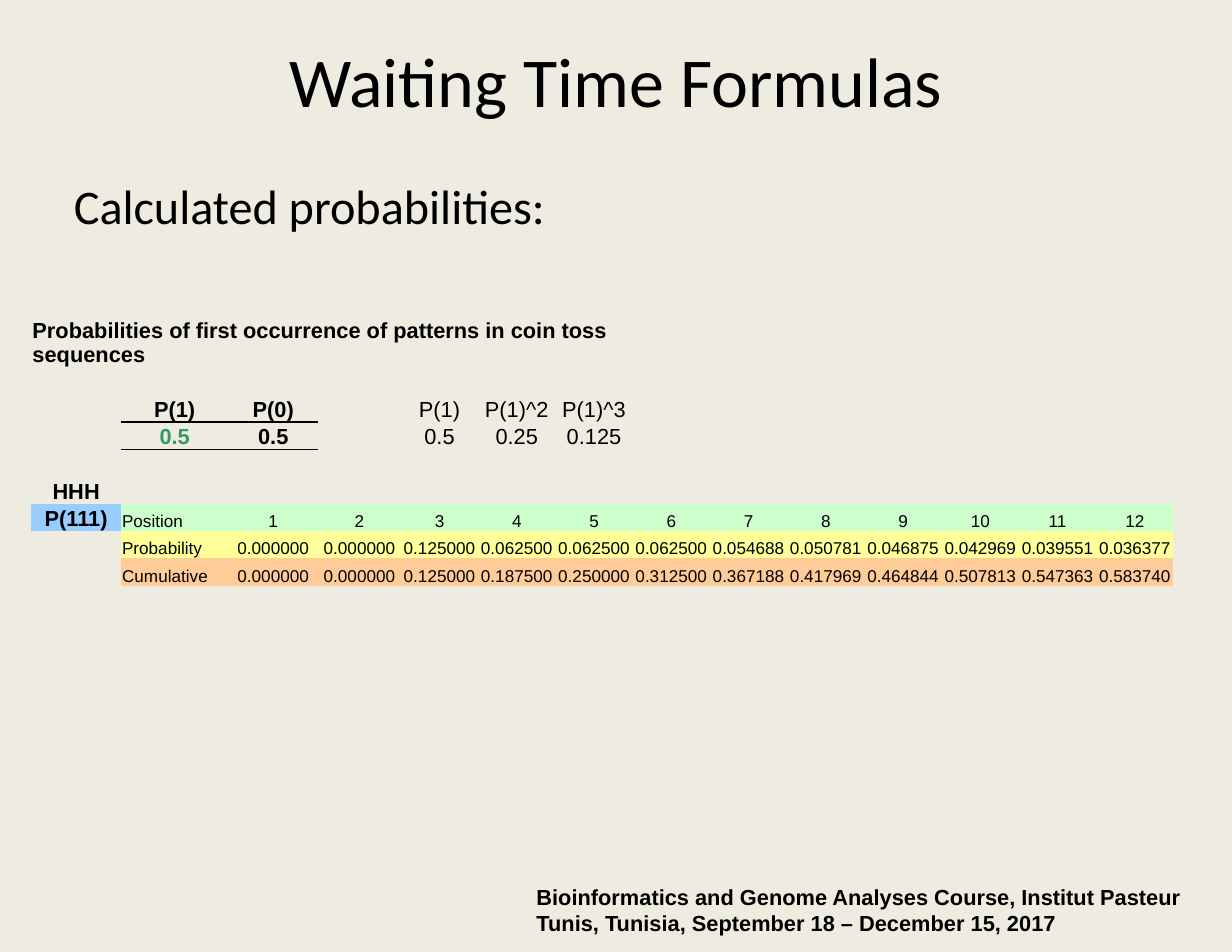
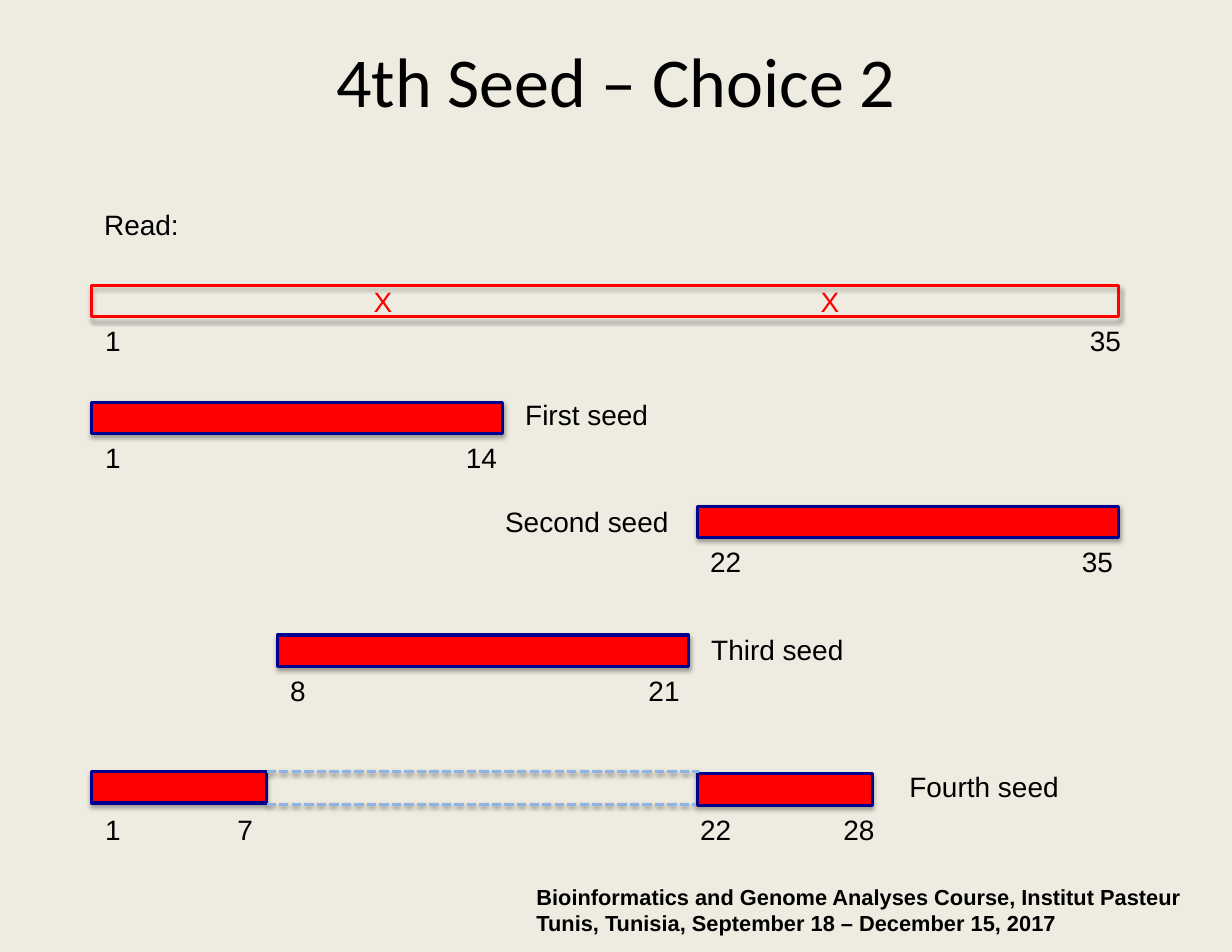
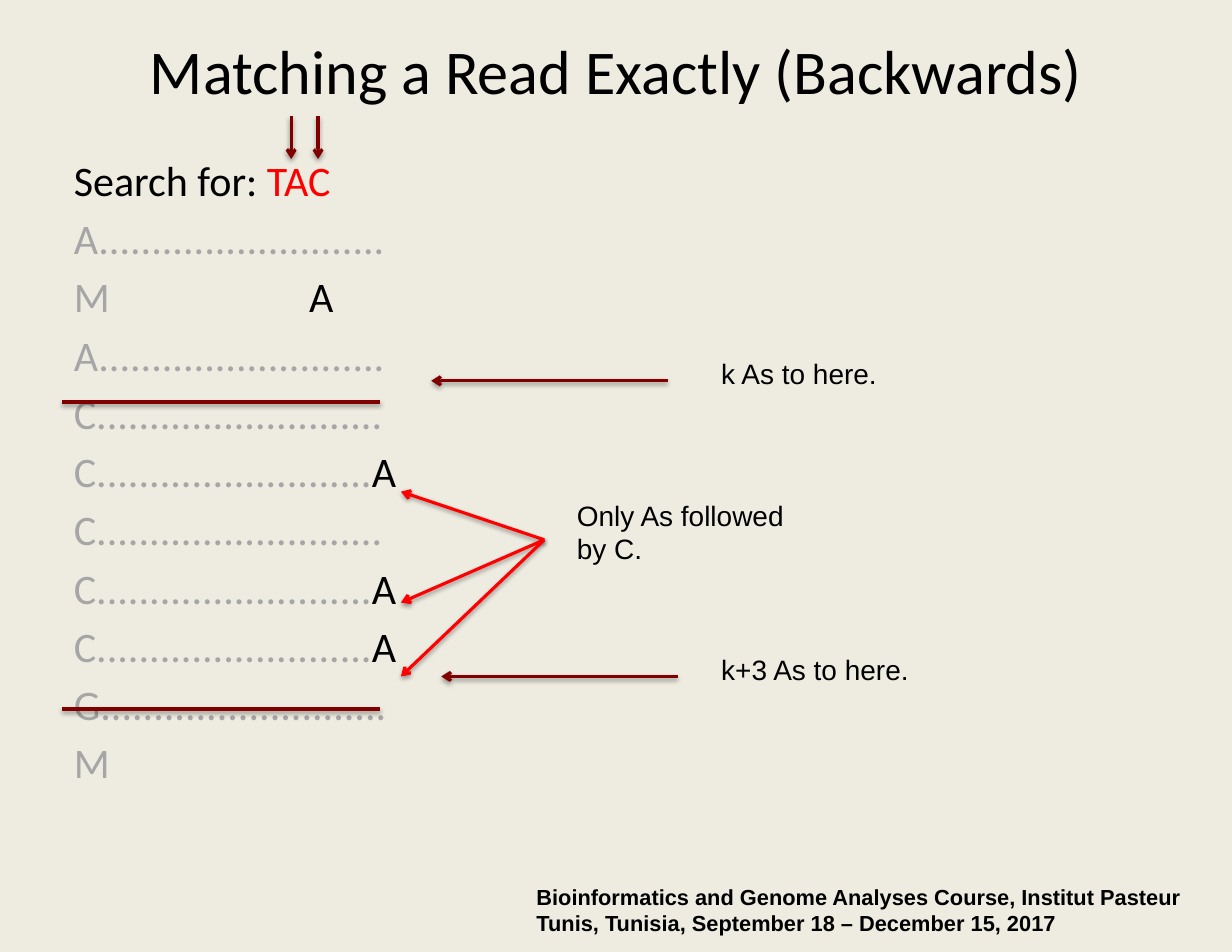
from lxml import etree
from pptx import Presentation
from pptx.dml.color import RGBColor
from pptx.enum import dml, shapes, text
from pptx.oxml import ns
from pptx.util import Inches, Pt

# Colours
CREAM = RGBColor(0xEE, 0xEC, 0xE1)
BLACK = RGBColor(0, 0, 0)
RED = RGBColor(0xFF, 0, 0)
MAROON = RGBColor(0x80, 0, 0)
NAVY = RGBColor(0, 0, 0x90)
SKY = RGBColor(0x8E, 0xB4, 0xE3)
GREY = RGBColor(0xA6, 0xA6, 0xA6)
TEAL = RGBColor(0x33, 0x99, 0x66)
BLUE = RGBColor(0x99, 0xCC, 0xFF)
MINT = RGBColor(0xCC, 0xFF, 0xCC)
LEMON = RGBColor(0xFF, 0xFF, 0x99)
PEACH = RGBColor(0xFF, 0xCC, 0x99)

# Shared content
FOOTER = ["Bioinformatics and Genome Analyses Course, Institut Pasteur",
          "Tunis, Tunisia, September 18 – December 15, 2017"]

# Slide 1: table content
WIDTHS = [0.8, 0.96, 0.8, 0.74] + [0.69] * 10
HEIGHTS = [0.48] + [0.24] * 9
HEADING = "Probabilities of first occurrence of patterns in coin toss sequences"
BASE = [  # row, column, text, bold, colour
    (2, 1, "P(1)", True, BLACK), (2, 2, "P(0)", True, BLACK),
    (2, 4, "P(1)", False, BLACK), (2, 5, "P(1)^2", False, BLACK),
    (2, 6, "P(1)^3", False, BLACK),
    (3, 1, "0.5", True, TEAL), (3, 2, "0.5", True, BLACK),
    (3, 4, "0.5", False, BLACK), (3, 5, "0.25", False, BLACK),
    (3, 6, "0.125", False, BLACK),
    (5, 0, "HHH", True, BLACK), (6, 0, "P(111)", True, BLACK),
]
BANDS = [
    (MINT, ["Position"] + [str(n) for n in range(1, 13)]),
    (LEMON, ["Probability", "0.000000", "0.000000", "0.125000", "0.062500",
             "0.062500", "0.062500", "0.054688", "0.050781", "0.046875",
             "0.042969", "0.039551", "0.036377"]),
    (PEACH, ["Cumulative", "0.000000", "0.000000", "0.125000", "0.187500",
             "0.250000", "0.312500", "0.367188", "0.417969", "0.464844",
             "0.507813", "0.547363", "0.583740"]),
]
RULES = [(2, "a:lnB"), (3, "a:lnT")]

# Slide 2: bars as left, top, width, fill, line
BAR = 0.28
BARS = [
    (0.82, 2.55, 9.17, None, RED),
    (0.82, 3.59, 3.67, RED, NAVY),
    (6.23, 4.52, 3.76, RED, NAVY),
    (2.48, 5.67, 3.67, RED, NAVY),
    (0.82, 6.89, 1.56, RED, NAVY),
    (6.23, 6.91, 1.56, RED, NAVY),
]
GAPS = [((2.38, 6.89), (6.24, 6.89)), ((2.38, 7.18), (6.21, 7.18))]
ENDS = [  # top, then numbers by left edge
    (2.83, [(0.83, "1"), (9.62, "35")]),
    (3.87, [(0.83, "1"), (4.05, "14")]),
    (4.8, [(6.23, "22"), (9.55, "35")]),
    (5.95, [(2.48, "8"), (5.68, "21")]),
    (7.19, [(0.83, "1"), (2.01, "7"), (6.14, "22"), (7.42, "28")]),
]
NAMES = [
    (0.82, 1.79, 1.56, "Read:"), (4.58, 3.49, 1.33, "First seed"),
    (4.4, 4.44, 1.7, "Second seed"), (6.24, 5.59, 1.42, "Third seed"),
    (8.01, 6.81, 1.57, "Fourth seed"),
]
ERRORS = [3.09, 7.08]

# Slide 3: lines of runs, notes and arrows
DOTS = "." * 26
SEARCH = [
    [("Search for: ", BLACK), ("TAC", RED)],
    [("A" + DOTS + ".", GREY)],
    [("M\t", GREY), ("A", BLACK)],
    [("A" + DOTS + ".", GREY)],
    [("C" + DOTS + ".", GREY)],
    [("C" + DOTS, GREY), ("A", BLACK)],
    [("C" + DOTS + ".", GREY)],
    [("C" + DOTS, GREY), ("A", BLACK)],
    [("C" + DOTS, GREY), ("A", BLACK)],
    [("G" + DOTS + ".", GREY)],
    [("M", GREY)],
]
NOTES = [
    (6.33, 3.12, 2.66, 0.42, "k As to here."),
    (6.33, 5.77, 2.66, 0.42, "k+3 As to here."),
    (5.04, 4.39, 2.38, 0.72, "Only As followed by C."),
]
HUB = (4.86, 4.82)
LINES = [  # from, to, colour, arrow
    ((5.96, 3.4), (3.85, 3.4), MAROON, True),
    ((6.05, 6.04), (3.94, 6.04), MAROON, True),
    ((3.39, 3.59), (0.55, 3.59), MAROON, False),
    ((3.39, 6.33), (0.55, 6.33), MAROON, False),
    ((2.84, 1.04), (2.84, 1.42), MAROON, True),
    ((2.6, 1.04), (2.6, 1.42), MAROON, True),
] + [(HUB, (3.58, y), RED, True) for y in (4.39, 5.38, 6.04)]


def add(parent, tag, **attrs):
    return etree.SubElement(parent, ns.qn(tag), **attrs)


def shade(shape, alpha, dist):
    """Give a soft shadow straight below the shape."""
    effect = add(shape._element.spPr, "a:effectLst")
    outer = add(effect, "a:outerShdw", blurRad=str(Pt(3.1)),
                dist=str(Pt(dist)), dir="5400000", rotWithShape="0")
    add(add(outer, "a:srgbClr", val="000000"), "a:alpha",
        val=str(alpha * 1000))


def write(frame, lines, size=18, font="Arial", color=BLACK, bold=False,
          align=text.PP_ALIGN.LEFT, gap=0, tab=None):
    """Fill a frame; a line is a string or a list of (string, colour)."""
    if isinstance(lines, str):
        lines = [lines]
    for i, line in enumerate(lines):
        para = frame.add_paragraph() if i else frame.paragraphs[0]
        para.alignment = align
        if i and gap:
            para.space_before = Pt(gap)
        runs = [(line, color)] if isinstance(line, str) else line
        if tab and any("\t" in words for words, _ in runs):
            stops = add(para._p.get_or_add_pPr(), "a:tabLst")
            add(stops, "a:tab", pos=str(Inches(tab)), algn="l")
        for words, tint in runs:
            run = para.add_run()
            run.text = words
            run.font.size, run.font.name = Pt(size), font
            run.font.bold, run.font.color.rgb = bold, tint


def put(slide, at, lines, pad=0.11, wrap=True,
        anchor=text.MSO_ANCHOR.TOP, **style):
    frame = slide.shapes.add_textbox(*map(Inches, at)).text_frame
    frame.word_wrap, frame.vertical_anchor = wrap, anchor
    frame.margin_left = frame.margin_right = Inches(pad)
    frame.margin_top = frame.margin_bottom = Inches(0.06)
    write(frame, lines, **style)


def link(slide, start, end, color, arrow=False, dash=None):
    line = slide.shapes.add_connector(
        shapes.MSO_CONNECTOR.STRAIGHT, *map(Inches, start + end))
    line.line.color.rgb, line.line.width = color, Pt(2)
    if dash:
        line.line.dash_style = dash
    if arrow:
        add(line.line._get_or_add_ln(), "a:tailEnd", type="arrow")
    shade(line, 38, 1.6)


def start(deck, title, top=0, size=45):
    """Add a slide with background, footer and title."""
    slide = deck.slides.add_slide(deck.slide_layouts[6])
    slide.background.fill.solid()
    slide.background.fill.fore_color.rgb = CREAM
    put(slide, (4.67, 7.83, 6.33, 0.6), FOOTER, pad=0.12, size=14, bold=True)
    put(slide, (0.55, top, 9.9, 1.42), title, size=size, font="Calibri",
        align=text.PP_ALIGN.CENTER, anchor=text.MSO_ANCHOR.MIDDLE)
    return slide


def paint(cell, color):
    cell.fill.solid()
    cell.fill.fore_color.rgb = color


def waiting(deck):
    slide = start(deck, "Waiting Time Formulas")
    put(slide, (0.55, 1.51, 9.9, 1), "Calculated probabilities:",
        size=31, font="Calibri")
    frame = slide.shapes.add_table(
        len(HEIGHTS), len(WIDTHS), Inches(0.28), Inches(2.8),
        Inches(sum(WIDTHS)), Inches(sum(HEIGHTS)))
    table = frame.table
    table.first_row = table.horz_banding = False
    # Plain style without grid
    style = table._tbl.tblPr.find(ns.qn("a:tableStyleId"))
    style.text = "{2D5ABB26-0587-4C30-8999-92F81FD0307C}"
    for col, width in zip(table.columns, WIDTHS):
        col.width = Inches(width)
    for row, height in zip(table.rows, HEIGHTS):
        row.height = Inches(height)
    for cell in table.iter_cells():
        cell.fill.background()
        cell.vertical_anchor = text.MSO_ANCHOR.BOTTOM
        cell.margin_left = cell.margin_right = Inches(0.01)
        cell.margin_top, cell.margin_bottom = Inches(0.01), 0
        tail = cell.text_frame.paragraphs[0]._p.get_or_add_endParaRPr()
        tail.set("sz", "1400")
    # Heading and base probabilities
    table.cell(0, 0).merge(table.cell(0, 6))
    write(table.cell(0, 0).text_frame, HEADING, size=14, bold=True)
    for r, c, words, bold, color in BASE:
        write(table.cell(r, c).text_frame, words, size=14, bold=bold,
              color=color, align=text.PP_ALIGN.CENTER)
    paint(table.cell(6, 0), BLUE)
    # Coloured bands
    for r, (color, values) in enumerate(BANDS, 6):
        for c, value in enumerate(values, 1):
            paint(table.cell(r, c), color)
            side = text.PP_ALIGN.LEFT if c == 1 else text.PP_ALIGN.CENTER
            write(table.cell(r, c).text_frame, value, size=11, align=side)
    # Rule under P(1) and P(0)
    for r, edge in RULES:
        for c in (1, 2):
            props = table.cell(r, c)._tc.get_or_add_tcPr()
            rule = add(props, edge, w=str(Pt(1)))
            add(add(rule, "a:solidFill"), "a:srgbClr", val=str(BLACK))
            props.insert(0, rule)


def seeds(deck):
    slide = start(deck, "4th Seed – Choice 2")
    for left, top, width, fill, edge in BARS:
        bar = slide.shapes.add_shape(
            shapes.MSO_SHAPE.RECTANGLE,
            *map(Inches, (left, top, width, BAR)))
        if fill is None:
            bar.fill.background()
        else:
            bar.fill.solid()
            bar.fill.fore_color.rgb = fill
        bar.line.color.rgb, bar.line.width = edge, Pt(2)
        shade(bar, 35, 1.8)
    for a, b in GAPS:
        link(slide, a, b, SKY, dash=dml.MSO_LINE.SQUARE_DOT)
    # Labels
    for left, top, width, name in NAMES:
        put(slide, (left, top, width, 0.42), name, wrap=False)
    for top, marks in ENDS:
        for left, mark in marks:
            width = 0.37 if len(mark) == 1 else 0.51
            put(slide, (left, top, width, 0.42), mark, wrap=False)
    for left in ERRORS:
        put(slide, (left, 2.48, 0.66, 0.42), "X", color=RED,
            align=text.PP_ALIGN.CENTER)


def matching(deck):
    slide = start(deck, "Matching a Read Exactly (Backwards)",
                  top=-0.09, size=40)
    put(slide, (0.55, 1.32, 9.9, 5.61), SEARCH, size=27, font="Calibri",
        gap=5, tab=2.1)
    for *at, note in NOTES:
        put(slide, at, note)
    for a, b, color, arrow in LINES:
        link(slide, a, b, color, arrow)


def main():
    deck = Presentation()
    deck.slide_width, deck.slide_height = Inches(11), Inches(8.5)
    for build in (waiting, seeds, matching):
        build(deck)
    deck.save("out.pptx")


if __name__ == "__main__":
    main()
